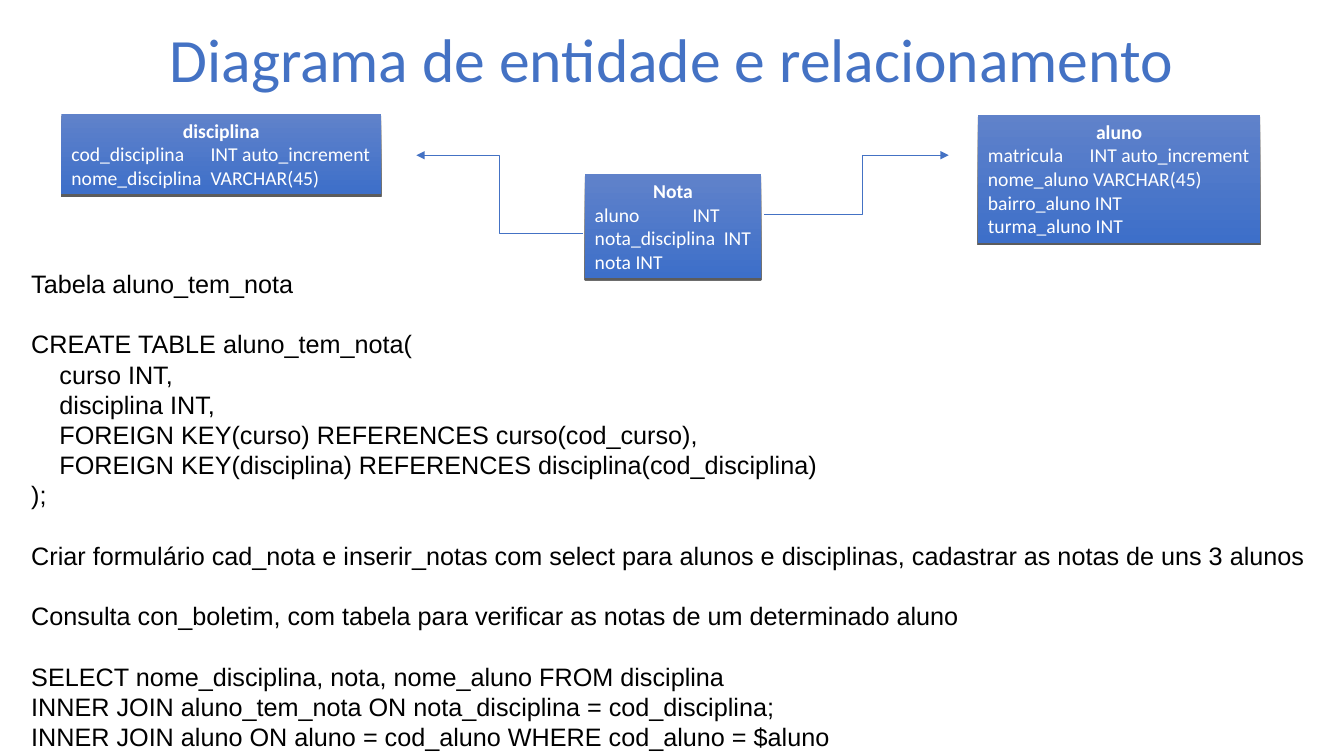
from dataclasses import dataclass

from lxml import etree
from pptx import Presentation
from pptx.dml.color import RGBColor
from pptx.enum.shapes import MSO_CONNECTOR, MSO_SHAPE
from pptx.enum.text import MSO_ANCHOR, MSO_AUTO_SIZE, PP_ALIGN
from pptx.oxml.ns import qn
from pptx.util import Inches, Pt

RECTANGLE = MSO_SHAPE.RECTANGLE
ELBOW = MSO_CONNECTOR.ELBOW
TOP = MSO_ANCHOR.TOP
NO_AUTOFIT = MSO_AUTO_SIZE.NONE
LEFT, CENTER = PP_ALIGN.LEFT, PP_ALIGN.CENTER


@dataclass(frozen=True)
class Theme:
    accent: RGBColor = RGBColor.from_string("4472C4")
    fill_top: RGBColor = RGBColor.from_string("6082CA")
    fill_bottom: RGBColor = RGBColor.from_string("3D6FC9")
    light: RGBColor = RGBColor.from_string("FFFFFF")
    dark: RGBColor = RGBColor.from_string("000000")
    heading_font: str = "Calibri"
    body_font: str = "Arial"
    title_size: int = 44
    entity_size: int = 14
    body_size: int = 18
    body_line: float = 21.6
    line_width: float = 0.5


THEME = Theme()
CODE_INDENT = 0.28

TITLE = "Diagrama de entidade e relacionamento"
TITLE_BOX = (1.58, 0.16, 10.17, 0.83)
NOTES_BOX = (0.21, 2.61, 12.83, 4.58)

# Name, box, tab stops, fields
ENTITIES = [
    ("aluno", (9.7, 1.14, 2.8, 1.27), [1.01],
     ["matricula\tINT auto_increment", "nome_aluno VARCHAR(45)",
      "bairro_aluno INT", "turma_aluno INT"]),
    ("disciplina", (0.61, 1.13, 3.17, 0.8), [1.38],
     ["cod_disciplina\tINT auto_increment", "nome_disciplina\tVARCHAR(45)"]),
    ("Nota", (5.8, 1.73, 1.75, 1.03), [0.97, 1.28],
     ["aluno\tINT", "nota_disciplina\tINT", "nota INT"]),
]

# Start, end, position of the bend along the width
RELATIONS = [
    ((5.78, 2.32), (4.13, 1.54), 0.5),
    ((7.58, 2.13), (9.41, 1.54), 0.53),
]

# Blocks of (indent level, line), set apart by one line
INSTRUCTIONS = [
    [(0, "Tabela aluno_tem_nota")],
    [(0, "CREATE TABLE aluno_tem_nota("),
     (1, "curso INT,"),
     (1, "disciplina INT,"),
     (1, "FOREIGN KEY(curso) REFERENCES curso(cod_curso),"),
     (1, "FOREIGN KEY(disciplina) REFERENCES disciplina(cod_disciplina)"),
     (0, ");")],
    [(0, "Criar formulário cad_nota e inserir_notas com select para alunos e "
         "disciplinas, cadastrar as notas de uns 3 alunos")],
    [(0, "Consulta con_boletim, com tabela para verificar as notas de um "
         "determinado aluno")],
    [(0, "SELECT nome_disciplina, nota, nome_aluno FROM disciplina"),
     (0, "INNER JOIN aluno_tem_nota ON nota_disciplina = cod_disciplina;"),
     (0, "INNER JOIN aluno ON aluno = cod_aluno WHERE cod_aluno = $aluno")],
]


def apply(target, formats):
    for name, value in formats.items():
        setattr(target, name, value)


def add_xml(parent, tag, **attributes):
    return etree.SubElement(parent, qn(tag), attributes)


def place(shape, box):
    names = ("left", "top", "width", "height")
    apply(shape, dict(zip(names, map(Inches, box))))


def prepare_frame(shape, right=0.1):
    frame = shape.text_frame
    apply(frame, {
        "word_wrap": False, "auto_size": NO_AUTOFIT, "vertical_anchor": TOP,
        "margin_left": Inches(0.1), "margin_right": Inches(right),
        "margin_top": Inches(0.05), "margin_bottom": Inches(0.05),
    })
    return frame


def write(frame, index, text, font, size, color, bold=False, **formats):
    """Fill the paragraph at index, adding it when it is not the first."""
    paragraph = frame.add_paragraph() if index else frame.paragraphs[0]
    run = paragraph.add_run()
    run.text = text
    apply(run.font, {"name": font, "size": Pt(size), "bold": bold})
    run.font.color.rgb = color
    apply(paragraph, formats)
    return paragraph


def add_title(slide, box):
    title = slide.shapes.title
    place(title, box)
    write(prepare_frame(title), 0, TITLE, THEME.heading_font,
          THEME.title_size, THEME.accent, alignment=CENTER)


def add_entity(slide, box, name, tab_stops, fields):
    entity = slide.shapes.add_shape(RECTANGLE, *map(Inches, box))
    entity.line.fill.background()
    entity.fill.gradient()
    entity.fill.gradient_angle = 270
    for stop, color in zip(entity.fill.gradient_stops,
                           (THEME.fill_top, THEME.fill_bottom)):
        stop.color.rgb = color

    entity.shadow.inherit = False
    effects = entity._element.spPr.find(qn("a:effectLst"))
    shadow = add_xml(effects, "a:outerShdw", dist=str(Pt(1.5)),
                     dir="5400000", rotWithShape="0")
    shade = add_xml(shadow, "a:srgbClr", val=str(THEME.dark))
    add_xml(shade, "a:alpha", val="63000")

    frame = prepare_frame(entity)
    style = (THEME.heading_font, THEME.entity_size, THEME.light)
    write(frame, 0, name, *style, bold=True, alignment=CENTER)
    for index, field in enumerate(fields, 1):
        paragraph = write(frame, index, field, *style, alignment=LEFT)
        tabs = add_xml(paragraph._p.get_or_add_pPr(), "a:tabLst")
        for position in tab_stops:
            add_xml(tabs, "a:tab", pos=str(Inches(position)), algn="l")


def add_relation(slide, start, end, bend):
    relation = slide.shapes.add_connector(ELBOW, *map(Inches, start + end))
    relation.line.color.rgb = THEME.accent
    relation.line.width = Pt(THEME.line_width)
    properties = relation._element.spPr
    add_xml(properties.find(qn("a:ln")), "a:tailEnd", type="triangle")
    add_xml(properties, "a:effectLst")
    adjustments = properties.find(qn("a:prstGeom")).find(qn("a:avLst"))
    add_xml(adjustments, "a:gd", name="adj1", fmla=f"val {round(bend * 100000)}")


def add_instructions(slide, box):
    """Write the blocks; without a right inset the longest line fits."""
    body = slide.placeholders[1]
    place(body, box)
    frame = prepare_frame(body, right=0)
    index = 0
    for block in INSTRUCTIONS:
        for row, (level, text) in enumerate(block):
            gap = THEME.body_line if index and row == 0 else 0
            paragraph = write(
                frame, index, text, THEME.body_font, THEME.body_size,
                THEME.dark, alignment=LEFT, space_before=Pt(gap),
                space_after=Pt(0), line_spacing=Pt(THEME.body_line))
            properties = paragraph._p.get_or_add_pPr()
            properties.set("marL", str(Inches(CODE_INDENT * level)))
            properties.set("indent", "0")
            add_xml(properties, "a:buNone")
            index += 1


def main():
    deck = Presentation()
    deck.slide_width, deck.slide_height = Inches(13.33), Inches(7.5)
    slide = deck.slides.add_slide(deck.slide_layouts[1])
    add_title(slide, TITLE_BOX)
    for name, box, tab_stops, fields in ENTITIES:
        add_entity(slide, box, name, tab_stops, fields)
    for start, end, bend in RELATIONS:
        add_relation(slide, start, end, bend)
    add_instructions(slide, NOTES_BOX)
    deck.save("out.pptx")


if __name__ == "__main__":
    main()
